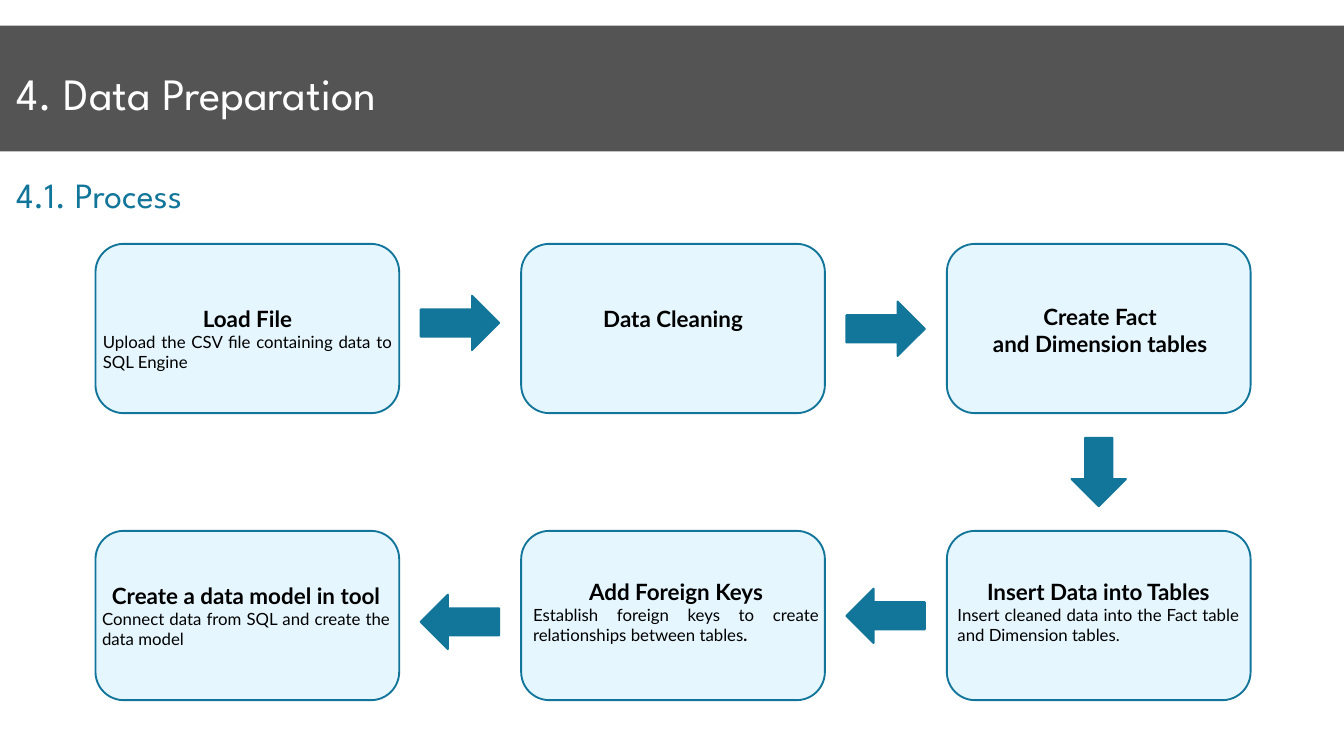
import pptx
import pptx.dml.color
import pptx.enum.shapes
import pptx.enum.text
import pptx.util

Cm = pptx.util.Cm
Pt = pptx.util.Pt
RGBColor = pptx.dml.color.RGBColor
Shape = pptx.enum.shapes.MSO_SHAPE
Align = pptx.enum.text.PP_ALIGN

TEAL = RGBColor(0x12, 0x75, 0x9A)
PALE_BLUE = RGBColor(0xE5, 0xF6, 0xFE)
GREY = RGBColor(0x54, 0x54, 0x54)
WHITE = RGBColor(0xFF, 0xFF, 0xFF)
BLACK = RGBColor(0, 0, 0)

HEADING_FONT = "League Spartan"
BODY_FONT = "Lato"

# All lengths below are centimetres.
SLIDE_W, SLIDE_H = 50.8, 28.58
CARD_W, CARD_H = 11.48, 6.4
FLOW_LEFT, FLOW_TOP = 3.61, 9.22
COLUMN_PITCH, ROW_PITCH = 16.09, 10.85
ARROW_LENGTH, ARROW_WIDTH = 2.97, 2.06
DOWN_ARROW_LENGTH = 2.59
ARROW_GAP = 0.81

# column, row, caption offset (x, y), caption size, headings, detail runs (text, bold)
STEPS = [
    (0, 0, (0.03, 2.18), (11.43, 2.82), ["Load File"],
     [("Upload the CSV file containing data to SQL Engine", False)]),
    (1, 0, (0, 2.18), (11.48, 1.27), ["Data Cleaning"], []),
    (2, 0, (0.05, 2.11), (11.48, 2.31), ["Create Fact", "and Dimension tables"], []),
    (2, 1, (0.15, 1.65), (11.15, 2.82), ["Insert Data into Tables"],
     [("Insert cleaned data into the Fact table and Dimension tables.", False)]),
    (1, 1, (0.2, 1.65), (11.3, 2.82), ["Add Foreign Keys"],
     [("Establish foreign keys to create relationships between tables", False),
      (".", True)]),
    (0, 1, (0, 1.8), (11.38, 2.82), ["Create a data model in tool"],
     [("Connect data from SQL and create the data model", False)]),
]

# column left of the arrow, row, offset below the row's top, direction
SIDE_ARROWS = [
    (0, 0, 1.96, Shape.RIGHT_ARROW),
    (1, 0, 2.18, Shape.RIGHT_ARROW),
    (1, 1, 2.18, Shape.LEFT_ARROW),
    (0, 1, 2.41, Shape.LEFT_ARROW),
]


def add_filled(slide, kind, left, top, width, height, fill, outline=None):
    shape = slide.shapes.add_shape(kind, Cm(left), Cm(top), Cm(width), Cm(height))
    shape.shadow.inherit = False
    shape.fill.solid()
    shape.fill.fore_color.rgb = fill
    if outline is None:
        shape.line.fill.background()
    else:
        shape.line.color.rgb = outline
        shape.line.width = Pt(2)


def add_text_frame(slide, left, top, width, height):
    frame = slide.shapes.add_textbox(Cm(left), Cm(top), Cm(width), Cm(height)).text_frame
    frame.word_wrap = True
    frame.auto_size = pptx.enum.text.MSO_AUTO_SIZE.SHAPE_TO_FIT_TEXT
    return frame


def add_run(paragraph, text, font, size, color, bold=False):
    run = paragraph.add_run()
    run.text = text
    run.font.name = font
    run.font.size = Pt(size)
    run.font.color.rgb = color
    run.font.bold = bold


def add_title_band(slide, left, top, width, height):
    add_filled(slide, Shape.RECTANGLE, left, top, width, height, GREY)
    frame = add_text_frame(slide, left + 0.64, top + 1.07, 23.7, 2.41)
    frame.margin_left = frame.margin_right = 0
    frame.margin_top = frame.margin_bottom = 0
    title = frame.paragraphs[0]
    title.line_spacing = Pt(70)
    add_run(title, "4. Data Preparation", HEADING_FONT, 48, WHITE)


def add_section_heading(slide, left, top, width, height):
    frame = add_text_frame(slide, left, top, width, height)
    add_run(frame.paragraphs[0], "4.1. Process", HEADING_FONT, 38, TEAL)


def add_step(slide, left, top, caption_offset, caption_size, headings, details):
    """Draw one process card with its caption placed relative to the card's corner."""
    add_filled(slide, Shape.ROUNDED_RECTANGLE, left, top, CARD_W, CARD_H, PALE_BLUE, TEAL)
    dx, dy = caption_offset
    frame = add_text_frame(slide, left + dx, top + dy, *caption_size)
    for index, heading in enumerate(headings):
        paragraph = frame.add_paragraph() if index else frame.paragraphs[0]
        paragraph.alignment = Align.CENTER
        add_run(paragraph, heading, BODY_FONT, 24, BLACK, bold=True)
    if details:
        paragraph = frame.add_paragraph()
        paragraph.alignment = Align.JUSTIFY
        for text, bold in details:
            add_run(paragraph, text, BODY_FONT, 18, BLACK, bold)


def add_process_flow(slide, left, top):
    for column, row, *step in STEPS:
        add_step(slide, left + column * COLUMN_PITCH, top + row * ROW_PITCH, *step)
    for column, row, drop, direction in SIDE_ARROWS:
        add_filled(slide, direction,
                   left + column * COLUMN_PITCH + CARD_W + ARROW_GAP,
                   top + row * ROW_PITCH + drop,
                   ARROW_LENGTH, ARROW_WIDTH, TEAL, TEAL)
    add_filled(slide, Shape.DOWN_ARROW,
               left + 2 * COLUMN_PITCH + (CARD_W - ARROW_WIDTH) / 2,
               top + (CARD_H + ROW_PITCH - DOWN_ARROW_LENGTH) / 2,
               ARROW_WIDTH, DOWN_ARROW_LENGTH, TEAL, TEAL)


def main():
    presentation = pptx.Presentation()
    presentation.slide_width = Cm(SLIDE_W)
    presentation.slide_height = Cm(SLIDE_H)
    slide = presentation.slides.add_slide(presentation.slide_layouts[6])
    add_process_flow(slide, FLOW_LEFT, FLOW_TOP)
    add_section_heading(slide, 0.36, 6.43, 19.63, 1.88)
    add_title_band(slide, 0, 0.97, SLIDE_W, 4.75)
    presentation.save("out.pptx")


if __name__ == "__main__":
    main()
